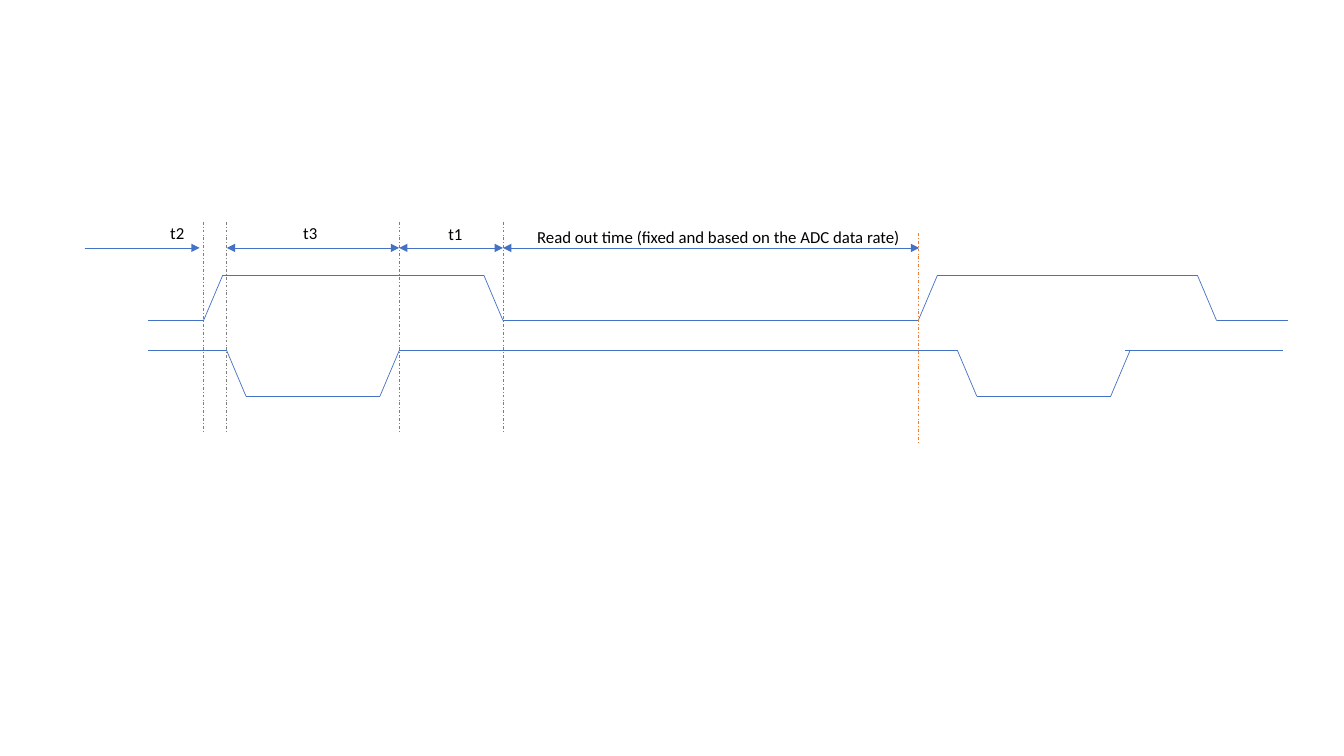
from lxml import etree
from pptx import Presentation, util as u
from pptx.dml.color import RGBColor
from pptx.enum import dml, shapes, text
from pptx.oxml.ns import qn

BLUE, GRAY, ORANGE, BLACK = "4472C4", "7F7F7F", "ED7D31", "000000"
RAMP = 13.7  # width of a rising or falling edge


def color(value):
    return RGBColor.from_string(value)


def add_line(slide, start, end, stroke=BLUE, dashed=False, arrows=()):
    line = slide.shapes.add_connector(
        shapes.MSO_CONNECTOR.STRAIGHT, *(u.Pt(value) for value in (*start, *end)))
    line.line.color.rgb = color(stroke)
    line.line.width = u.Pt(0.5)
    if dashed:
        line.line.dash_style = dml.MSO_LINE.DASH_DOT
    properties = line._element.spPr
    for arrow in arrows:
        etree.SubElement(properties.find(qn("a:ln")), qn(f"a:{arrow}"), type="triangle")
    etree.SubElement(properties, qn("a:effectLst"))


def add_label(slide, left, top, width, words):
    label = slide.shapes.add_textbox(u.Pt(left), u.Pt(top), u.Pt(width), u.Pt(21.8))
    frame = label.text_frame
    frame.word_wrap = True
    frame.auto_size = text.MSO_AUTO_SIZE.SHAPE_TO_FIT_TEXT
    frame.text = words
    font = frame.paragraphs[0].runs[0].font
    for name, value in {"name": "Calibri", "size": u.Pt(12)}.items():
        setattr(font, name, value)
    font.color.rgb = color(BLACK)


def add_pulse(slide, left, rest, peak, begin, leave, back, resume, end):
    """Draw one pulse from its resting level to its peak level and back."""
    corners = [(begin, rest), (leave, rest), (leave + RAMP, peak),
               (back - RAMP, peak), (back, rest)]
    segments = [*zip(corners, corners[1:]), ((resume, rest), (end, rest))]
    for (x1, y1), (x2, y2) in segments:
        add_line(slide, (left + x1, y1), (left + x2, y2))


def add_signals(slide, left, top):
    # Upper signal: high pulses
    for times in ((45.8, 85.4, 299.3, 299.3, 557), (555.6, 595.9, 809, 809, 860.2)):
        add_pulse(slide, left, top + 70.6, top + 38.2, *times)
    # Lower signal: low pulses
    for times in ((45.8, 102, 225.1, 225.1, 265.4), (264, 624, 747.1, 743.5, 856.6)):
        add_pulse(slide, left, top + 92.2, top + 124.6, *times)


def add_markers(slide, left, top):
    markers = [(x, 0, GRAY) for x in (85.4, 102, 225.1, 299.3)]
    for x, drop, stroke in markers + [(595.9, 7.9, ORANGE)]:
        add_line(slide, (left + x, top + drop), (left + x, top + drop + 150.5),
                 stroke, dashed=True)


def add_intervals(slide, left, top):
    both = ("headEnd", "tailEnd")
    intervals = [  # start, end, arrowheads, label left, top, width, wording
        (0.5, 82.6, both[1:], 54.5, -2.9, 56.9, "t2"),
        (102, 225.1, both, 149.5, -2.9, 56.9, "t3"),
        (225.1, 299.3, both, 253.2, -2.2, 56.9, "t1"),
        (299.3, 596.6, both, 316.6, 0, 283.7,
         "Read out time (fixed and based on the ADC data rate)"),
    ]
    for start, end, arrows, label_left, label_top, width, words in intervals:
        add_line(slide, (left + start, top + 18.7), (left + end, top + 18.7), arrows=arrows)
        add_label(slide, left + label_left, top + label_top, width, words)


def build_timing_slide(presentation, left, top):
    slide = presentation.slides.add_slide(presentation.slide_layouts[6])
    for add_part in (add_signals, add_markers, add_intervals):
        add_part(slide, left, top)


def main():
    presentation = Presentation()
    presentation.slide_width, presentation.slide_height = u.Pt(960), u.Pt(540)
    build_timing_slide(presentation, 60, 158.4)
    presentation.save("out.pptx")


if __name__ == "__main__":
    main()
